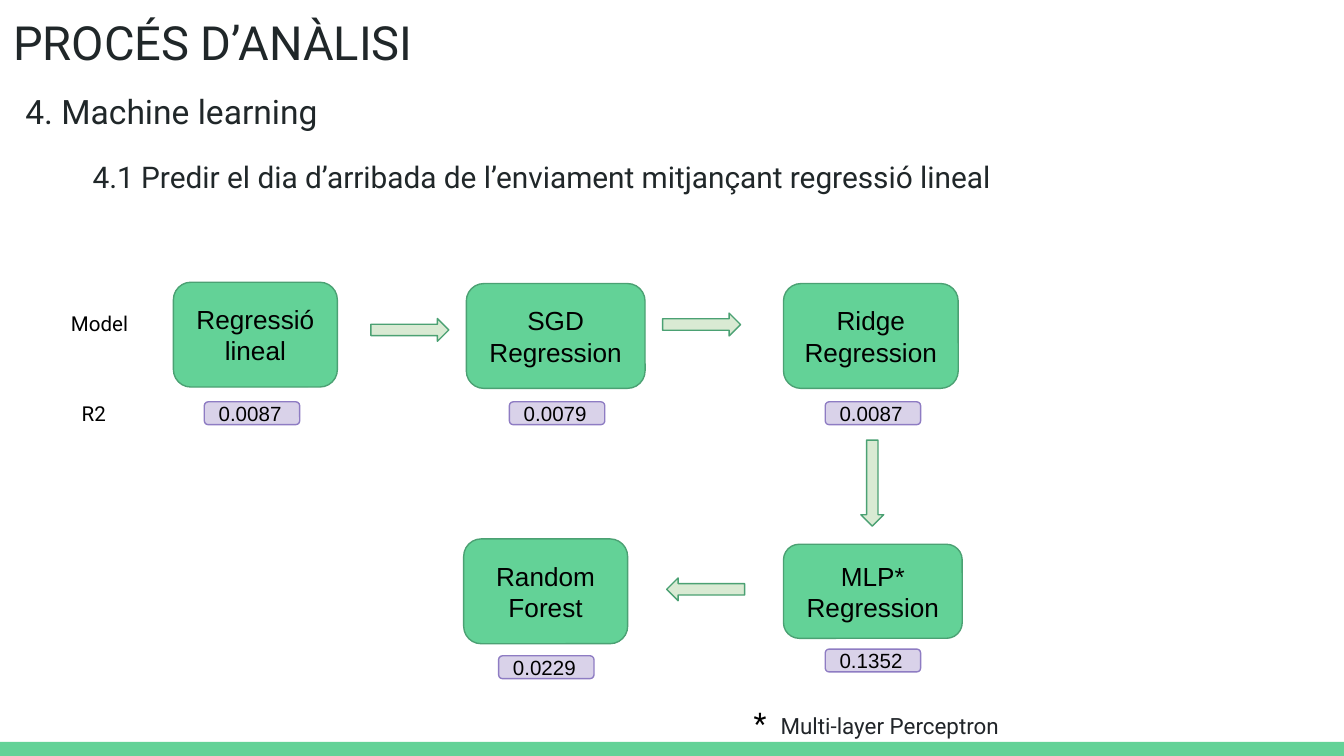
from pptx import Presentation
from pptx.dml.color import RGBColor
from pptx.enum import shapes, text
from pptx.util import Inches, Pt

GREEN, DARK_GREEN, PALE_GREEN = "63D297", "4BA173", "D9EAD3"
LILAC, PURPLE = "D9D2E9", "8E7CC3"
BLACK, INK, NOTE_INK = "000000", "202729", "212529"

MODELS = [
    ("Regressió lineal", 1.29, 2.1, 1.22, 0.78),
    ("SGD Regression", 3.47, 2.11, 1.33, 0.78),
    ("Ridge Regression", 5.83, 2.11, 1.3, 0.78),
    ("MLP* Regression", 5.83, 4.05, 1.33, 0.7),
    ("Random Forest", 3.45, 4.01, 1.22, 0.78),
]
SCORES = [
    ("0.0087", 1.52, 2.99),
    ("0.0079", 3.79, 2.99),
    ("0.0087", 6.14, 2.99),
    ("0.1352", 6.14, 4.83),
    ("0.0229", 3.71, 4.88),
]
ARROWS = [
    (2.76, 2.37, 0.58, 0),
    (4.93, 2.33, 0.58, 0),
    (6.17, 3.51, 0.64, 90),
    (4.96, 4.3, 0.58, 180),
]


def color(value):
    return RGBColor.from_string(value)


def write(paragraph, content, size, font="Roboto", ink=INK, align=None,
          spacing=None, before=None, margin=None, indent=None):
    run = paragraph.add_run()
    run.text = content
    run.font.name = font
    run.font.size = Pt(size)
    run.font.color.rgb = color(ink)
    if align is not None:
        paragraph.alignment = align
    if spacing is not None:
        paragraph.line_spacing = spacing
    if before is not None:
        paragraph.space_before = Pt(before)
    properties = paragraph._p.get_or_add_pPr()
    if margin is not None:
        properties.set("marL", str(Inches(margin)))
    if indent is not None:
        properties.set("indent", str(Inches(indent)))


def set_frame(frame, anchor):
    frame.word_wrap = True
    frame.vertical_anchor = anchor
    frame.margin_left = frame.margin_right = Inches(0.1)
    frame.margin_top = frame.margin_bottom = Inches(0.1)


def add_box(slide, left, top, width, height):
    box = slide.shapes.add_textbox(
        Inches(left), Inches(top), Inches(width), Inches(height))
    set_frame(box.text_frame, text.MSO_ANCHOR.TOP)
    return box.text_frame


def add_shape(slide, kind, left, top, width, height, fill, line=None):
    shape = slide.shapes.add_shape(
        kind, Inches(left), Inches(top), Inches(width), Inches(height))
    shape.shadow.inherit = False
    shape.fill.solid()
    shape.fill.fore_color.rgb = color(fill)
    if line:
        shape.line.color.rgb = color(line)
        shape.line.width = Pt(0.75)
    else:
        shape.line.fill.background()
    return shape


def add_card(slide, content, left, top, width, height, fill, line, size, align):
    card = add_shape(slide, shapes.MSO_SHAPE.ROUNDED_RECTANGLE,
                     left, top, width, height, fill, line)
    set_frame(card.text_frame, text.MSO_ANCHOR.MIDDLE)
    write(card.text_frame.paragraphs[0], content, size,
          font="Arial", ink=BLACK, align=align)


def add_arrow(slide, left, top, length, rotation):
    arrow = add_shape(slide, shapes.MSO_SHAPE.RIGHT_ARROW,
                      left, top, length, 0.17, PALE_GREEN, DARK_GREEN)
    arrow.rotation = rotation


def add_headings(slide):
    title = add_box(slide, 0, 0, 9.32, 0.63)
    write(title.paragraphs[0], "PROCÉS D’ANÀLISI", 25.2)
    body = add_box(slide, 0.09, 0.53, 9.32, 1.5)
    write(body.paragraphs[0], "4. Machine learning", 18, spacing=1.15)
    write(body.add_paragraph(),
          "4.1 Predir el dia d’arribada de l’enviament mitjançant regressió lineal",
          16, spacing=1.15, before=12, margin=0, indent=0.5)


def add_footnote(slide):
    paragraph = add_box(slide, 5.51, 5.14, 2.73, 0.71).paragraphs[0]
    write(paragraph, "*\t", 16, ink=BLACK, margin=0.2, indent=-0.2)
    write(paragraph, "Multi-layer Perceptron", 12, ink=NOTE_INK)


def main():
    presentation = Presentation()
    presentation.slide_width = Inches(10)
    presentation.slide_height = presentation.slide_width * 9 // 16
    slide = presentation.slides.add_slide(presentation.slide_layouts[6])

    add_shape(slide, shapes.MSO_SHAPE.RECTANGLE, 0, 5.52, 10, 0.11, GREEN)
    add_headings(slide)
    for label, left, top in [("Model", 0.43, 2.22), ("R2", 0.51, 2.89)]:
        frame = add_box(slide, left, top, 0.77, 0.39)
        write(frame.paragraphs[0], label, 11, ink=BLACK)
    for name, left, top, width, height in MODELS:
        add_card(slide, name, left, top, width, height,
                 GREEN, DARK_GREEN, 14, text.PP_ALIGN.CENTER)
    for score, left, top in SCORES:
        add_card(slide, score, left, top, 0.71, 0.17,
                 LILAC, PURPLE, 11, text.PP_ALIGN.LEFT)
    for arrow in ARROWS:
        add_arrow(slide, *arrow)
    add_footnote(slide)

    presentation.save("out.pptx")


if __name__ == "__main__":
    main()
